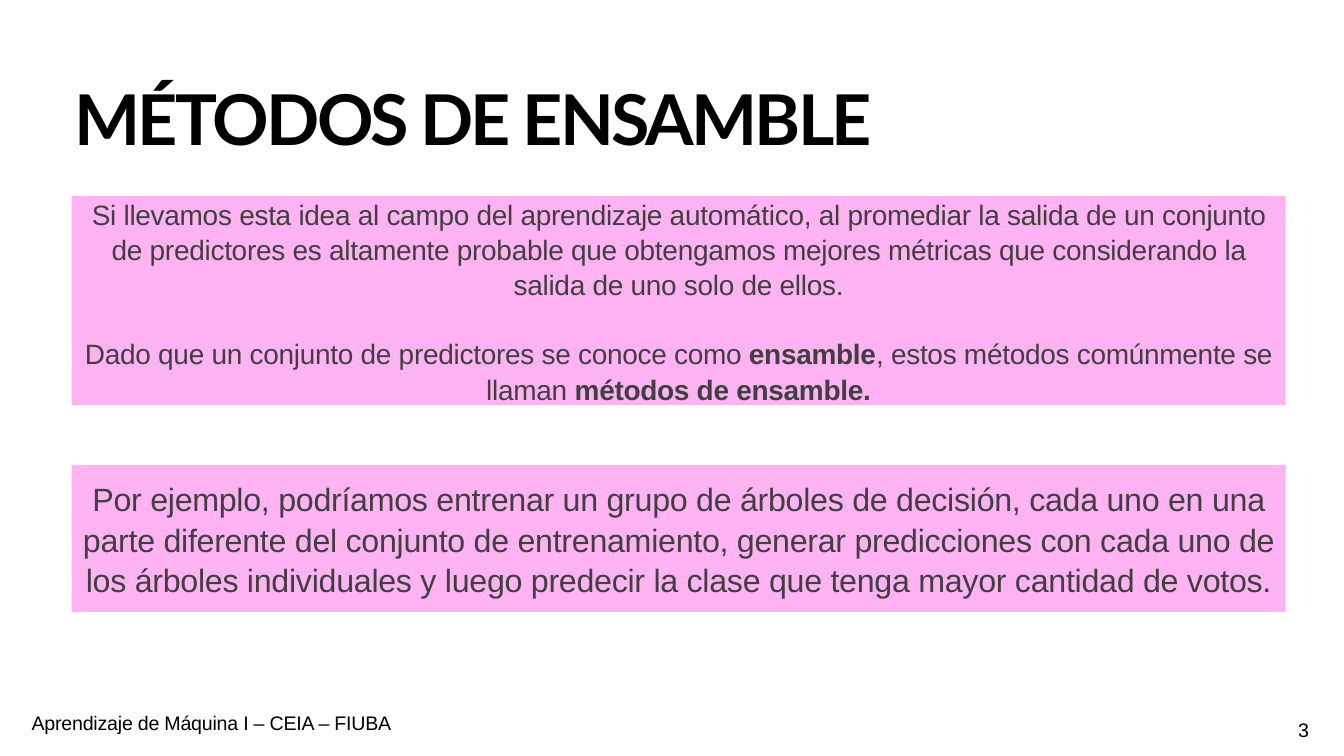
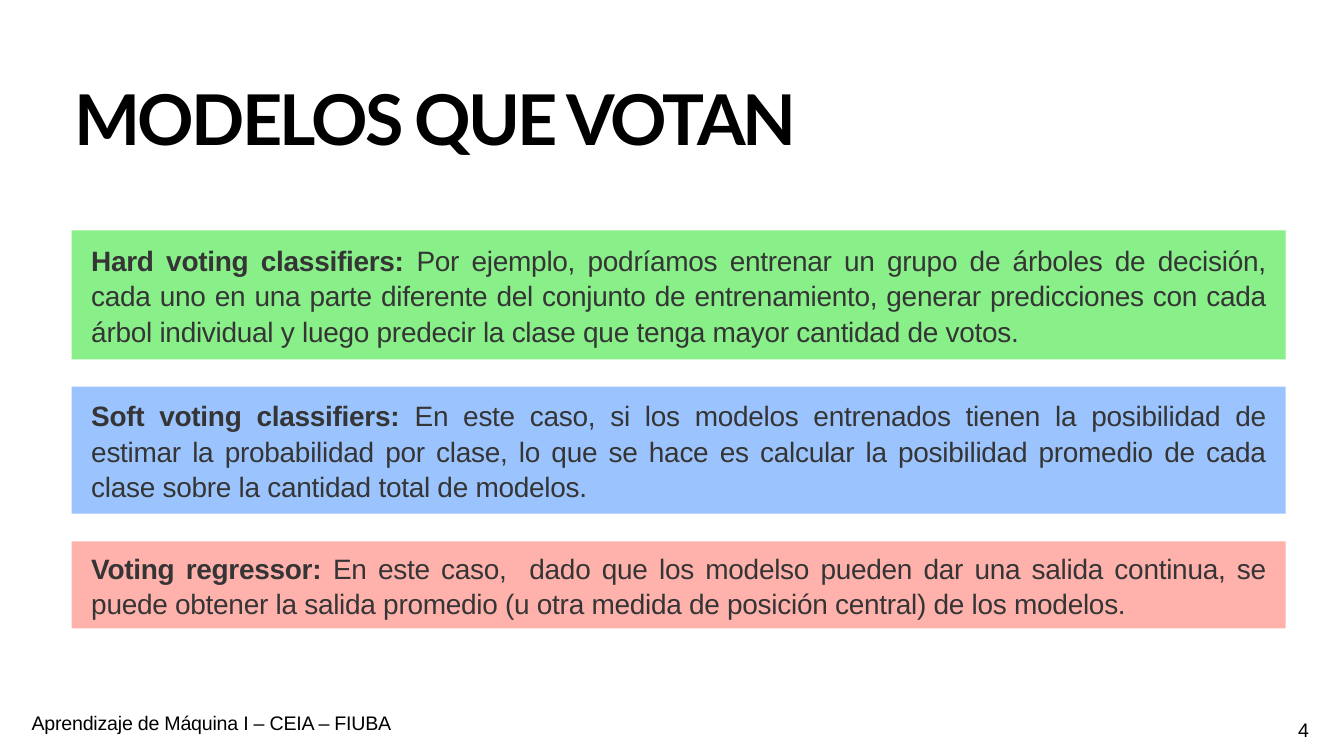
from dataclasses import dataclass

from pptx import Presentation
from pptx.dml.color import RGBColor
from pptx.enum.shapes import MSO_SHAPE
from pptx.enum.text import MSO_ANCHOR, PP_ALIGN
from pptx.slide import Slide
from pptx.text.text import TextFrame
from pptx.util import Inches, Pt

# Shared look
BLACK, CHARCOAL, GRAPHITE = "000000", "404040", "353535"
PINK, GREEN, BLUE, SALMON = "FFB3F2", "88EF89", "9BC4FF", "FFB1AC"
MARGIN_LEFT, PANEL_WIDTH = 1.42, 24.09
COURSE = "Aprendizaje de Máquina I – CEIA – FIUBA"

Run = tuple[str, bool]  # text, bold


@dataclass(frozen=True)
class TextStyle:
    size: float
    color: str
    font: str = "Arial"
    tracking: float = 0
    align: PP_ALIGN = PP_ALIGN.LEFT
    line_spacing: float = 1.05
    gap: float = 0  # points between paragraphs


@dataclass(frozen=True)
class Panel:
    top: float
    height: float
    fill: str
    style: TextStyle
    paragraphs: list[list[Run]]
    side_inset: float = 0.05


TITLE = TextStyle(100, BLACK, "Lato", tracking=-4, line_spacing=0.8)
FOOTER = TextStyle(28, BLACK, tracking=-0.3, line_spacing=0.8)
PAGE_NUMBER = TextStyle(28, BLACK, tracking=-0.3, align=PP_ALIGN.CENTER, line_spacing=0.8)
IDEA = TextStyle(40, CHARCOAL, tracking=-0.4, align=PP_ALIGN.CENTER, gap=48)
EXAMPLE = TextStyle(46, CHARCOAL, tracking=-0.4, align=PP_ALIGN.CENTER)
DEFINITION = TextStyle(40, GRAPHITE, tracking=-0.4, align=PP_ALIGN.JUSTIFY)


def rgb(color: str) -> RGBColor:
    return RGBColor.from_string(color)


def write(frame: TextFrame, paragraphs: list[list[Run]], style: TextStyle,
          side_inset: float, end_inset: float) -> None:
    """Fill a text frame with styled paragraphs."""
    frame_format = {
        "word_wrap": True,
        "margin_left": Inches(side_inset), "margin_right": Inches(side_inset),
        "margin_top": Inches(end_inset), "margin_bottom": Inches(end_inset),
    }
    for attribute, value in frame_format.items():
        setattr(frame, attribute, value)
    for index, runs in enumerate(paragraphs):
        paragraph = frame.add_paragraph() if index else frame.paragraphs[0]
        paragraph.alignment = style.align
        paragraph.line_spacing = style.line_spacing
        if index:
            paragraph.space_before = Pt(style.gap)
        for text, bold in runs:
            run = paragraph.add_run()
            run.text = text
            font_format = {"name": style.font, "size": Pt(style.size), "bold": bold}
            for attribute, value in font_format.items():
                setattr(run.font, attribute, value)
            run.font.color.rgb = rgb(style.color)
            # Letter spacing, in hundredths of a point
            run._r.get_or_add_rPr().set("spc", str(round(style.tracking * 100)))


def add_label(slide: Slide, left: float, top: float, width: float, height: float,
              run: Run, style: TextStyle, side_inset: float = 0.1) -> None:
    box = slide.shapes.add_textbox(Inches(left), Inches(top), Inches(width), Inches(height))
    write(box.text_frame, [[run]], style, side_inset, 0.05)


def add_panel(slide: Slide, panel: Panel) -> None:
    band = slide.shapes.add_shape(
        MSO_SHAPE.RECTANGLE, Inches(MARGIN_LEFT), Inches(panel.top),
        Inches(PANEL_WIDTH), Inches(panel.height))
    band.shadow.inherit = False
    band.fill.solid()
    band.fill.fore_color.rgb = rgb(panel.fill)
    band.line.fill.background()
    band.text_frame.vertical_anchor = MSO_ANCHOR.MIDDLE
    write(band.text_frame, panel.paragraphs, panel.style, panel.side_inset, 0.05)


def add_slide(deck: Presentation, title: str, number: int, panels: list[Panel]) -> None:
    slide = deck.slides.add_slide(deck.slide_layouts[6])
    add_label(slide, MARGIN_LEFT, 1.77, 23.92, 1.94, (title, True), TITLE, 0.06)
    add_label(slide, 0.53, 14.15, 8.32, 0.51, (COURSE, False), FOOTER)
    add_label(slide, 25.25, 14.28, 1.24, 0.55, (str(number), False), PAGE_NUMBER)
    for panel in panels:
        add_panel(slide, panel)


def definition(top: float, height: float, fill: str, term: str, meaning: str) -> Panel:
    return Panel(top, height, fill, DEFINITION,
                 [[(f"{term}: ", True), (meaning, False)]], side_inset=0.39)


# Ensemble methods
ENSEMBLE_PANELS = [
    Panel(3.89, 4.15, PINK, IDEA, [
        [("Si llevamos esta idea al campo del aprendizaje automático, al promediar la "
          "salida de un conjunto de predictores es altamente probable que obtengamos "
          "mejores métricas que considerando la salida de uno solo de ellos.", False)],
        [("Dado que un conjunto de predictores se conoce como ", False),
         ("ensamble", True),
         (", estos métodos comúnmente se llaman ", False),
         ("métodos de ensamble.", True)],
    ]),
    Panel(9.23, 2.91, PINK, EXAMPLE, [
        [("Por ejemplo, podríamos entrenar un grupo de árboles de decisión, cada uno en "
          "una parte diferente del conjunto de entrenamiento, generar predicciones con "
          "cada uno de los árboles individuales y luego predecir la clase que tenga mayor "
          "cantidad de votos.", False)],
    ]),
]

# Voting models
VOTING_PANELS = [
    definition(4.57, 2.56, GREEN, "Hard voting classifiers",
               "Por ejemplo, podríamos entrenar un grupo de árboles de decisión, cada uno "
               "en una parte diferente del conjunto de entrenamiento, generar predicciones "
               "con cada árbol individual y luego predecir la clase que tenga mayor "
               "cantidad de votos."),
    definition(7.67, 2.52, BLUE, "Soft voting classifiers",
               "En este caso, si los modelos entrenados tienen la posibilidad de estimar la "
               "probabilidad por clase, lo que se hace es calcular la posibilidad promedio "
               "de cada clase sobre la cantidad total de modelos."),
    definition(10.74, 1.73, SALMON, "Voting regressor",
               "En este caso,  dado que los modelso pueden dar una salida continua, se puede "
               "obtener la salida promedio (u otra medida de posición central) de los "
               "modelos."),
]


def main() -> None:
    deck = Presentation()
    deck.slide_width, deck.slide_height = Inches(26.67), Inches(15)
    add_slide(deck, "MÉTODOS DE ENSAMBLE", 3, ENSEMBLE_PANELS)
    add_slide(deck, "MODELOS QUE VOTAN", 4, VOTING_PANELS)
    deck.save("out.pptx")


if __name__ == "__main__":
    main()
